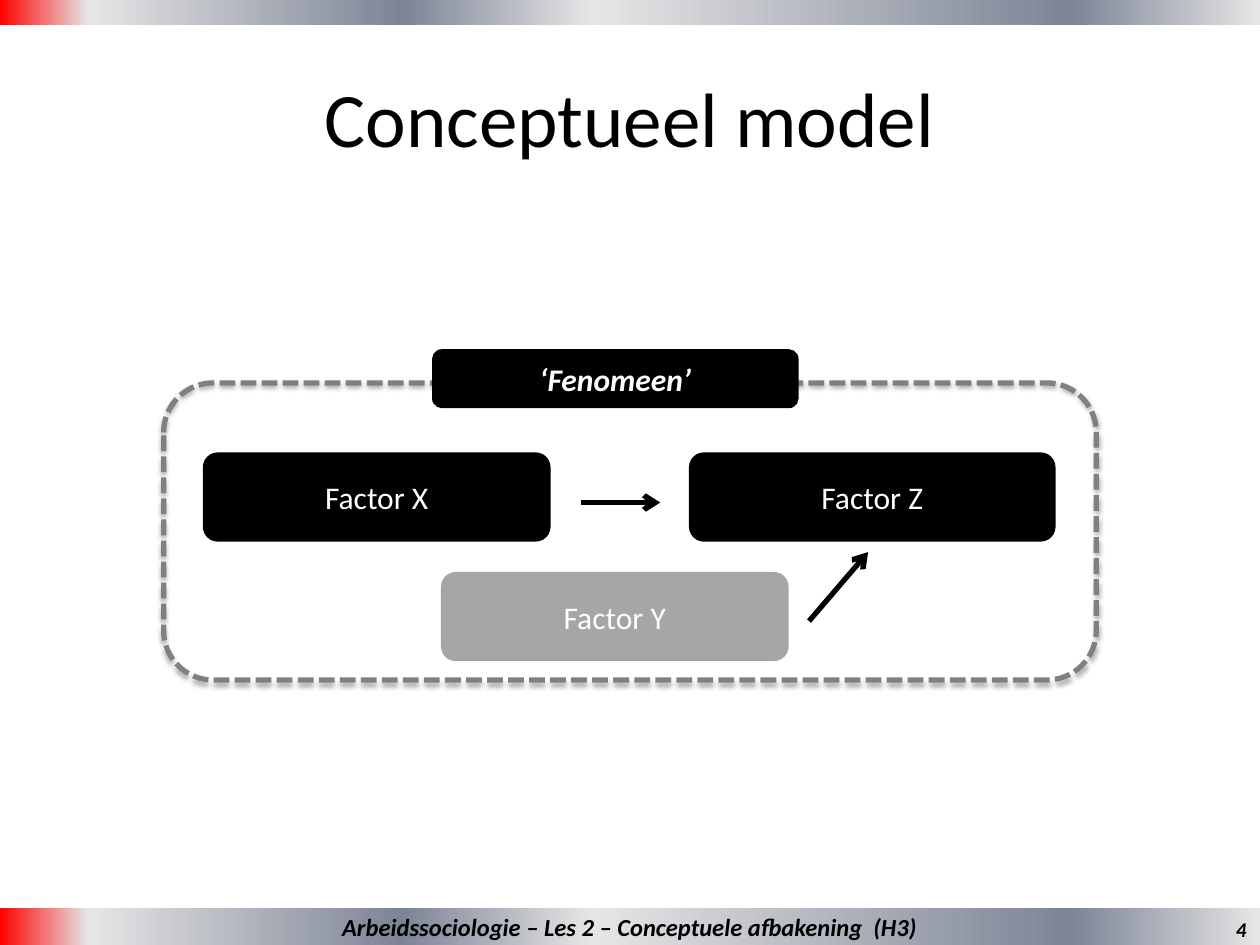
from lxml import etree
from pptx import Presentation
from pptx import util as u
from pptx.dml.color import RGBColor
from pptx.enum import dml, shapes, text
from pptx.oxml import parse_xml
from pptx.oxml.ns import nsdecls, qn

FONT = "Calibri"
COLORS = {
    "black": "000000", "white": "FFFFFF", "light": "A6A6A6", "frame": "808080",
    "red": "FF0000", "silver": "E6E6E6", "slate": "7D8496",
}
WIDTH, HEIGHT = 25.4, 19.05

# All places are left, top, width, height in centimetres
TITLE = ("Conceptueel model", (1.27, 0.76, 22.86, 3.18))
FACTORS = [
    ("Factor X", (4.09, 9.12, 7.01, 1.8), "black"),
    ("Factor Z", (13.89, 9.12, 7.39, 1.8), "black"),
    ("Factor Y", (8.89, 11.53, 7.01, 1.8), "light"),
]
ARROWS = [  # from x, y to x, y
    (11.71, 10.13, 13.31, 10.13),
    (16.31, 12.52, 17.5, 11.13),
]
FRAME = (3.3, 7.72, 18.8, 5.99)
PHENOMENON = ("‘Fenomeen’", (8.71, 7.04, 7.39, 1.19))
FOOTER_TOP = 18.31
BARS = [
    ("", (0, 0, WIDTH, 0.51)),
    ("Arbeidssociologie – Les 2 – Conceptuele afbakening  (H3)",
     (0, FOOTER_TOP, WIDTH, HEIGHT - FOOTER_TOP)),
]
PAGE = ("4", (19.46, FOOTER_TOP, 5.92, 0.86))
BAR_STOPS = [(0, "red"), (7, "silver"), (32, "slate"),
             (47, "silver"), (85, "slate"), (100, "silver")]


def rgb(color):
    return RGBColor.from_string(COLORS[color])


def cm(lengths):
    return [u.Cm(length) for length in lengths]


def write(shape, words, size, color="black", align=text.PP_ALIGN.CENTER, strong=False):
    frame = shape.text_frame
    frame.word_wrap = True
    frame.vertical_anchor = text.MSO_ANCHOR.MIDDLE
    paragraph = frame.paragraphs[0]
    paragraph.text = words
    paragraph.alignment = align
    font = paragraph.font
    font.name, font.size = FONT, u.Pt(size)
    font.color.rgb = rgb(color)
    if strong:
        font.bold = font.italic = True


def add_box(slide, place, kind=shapes.MSO_SHAPE.ROUNDED_RECTANGLE, fill=None):
    """Add a shape without line or shadow, filled only if a colour is given."""
    box = slide.shapes.add_shape(kind, *cm(place))
    box.shadow.inherit = False
    box.line.fill.background()
    if fill:
        box.fill.solid()
        box.fill.fore_color.rgb = rgb(fill)
    else:
        box.fill.background()
    return box


def add_label(slide, words, place, size, **style):
    write(slide.shapes.add_textbox(*cm(place)), words, size, **style)


def add_arrow(slide, ends):
    arrow = slide.shapes.add_connector(shapes.MSO_CONNECTOR.STRAIGHT, *cm(ends))
    arrow.line.color.rgb = rgb("black")
    arrow.line.width = u.Pt(3)
    etree.SubElement(arrow.line._get_or_add_ln(), qn("a:tailEnd"), type="arrow")
    etree.SubElement(arrow._element.spPr, qn("a:effectLst"))


def add_frame(slide):
    frame = add_box(slide, FRAME)
    frame.line.color.rgb = rgb("frame")
    frame.line.width = u.Pt(3)
    frame.line.dash_style = dml.MSO_LINE.SQUARE_DOT
    effects = frame._element.spPr.find(qn("a:effectLst"))
    effects.append(parse_xml(
        f'<a:outerShdw {nsdecls("a")} blurRad="{u.Pt(3.1)}" dist="{u.Pt(1.8)}" '
        f'dir="5400000" rotWithShape="0"><a:srgbClr val="{COLORS["black"]}">'
        '<a:alpha val="35000"/></a:srgbClr></a:outerShdw>'))


def add_bar(slide, words, place):
    bar = add_box(slide, place, shapes.MSO_SHAPE.RECTANGLE)
    bar.fill.gradient()
    bar.fill.gradient_angle = 0
    stops = bar._element.spPr.find(f'{qn("a:gradFill")}/{qn("a:gsLst")}')
    for stop in list(stops):
        stops.remove(stop)
    for percent, color in BAR_STOPS:
        stop = etree.SubElement(stops, qn("a:gs"), pos=str(percent * 1000))
        etree.SubElement(stop, qn("a:srgbClr"), val=COLORS[color])
    if words:
        write(bar, words, 14, strong=True)


def main():
    deck = Presentation()
    deck.slide_width, deck.slide_height = cm((WIDTH, HEIGHT))
    slide = deck.slides.add_slide(deck.slide_layouts[6])

    add_label(slide, *TITLE, 44)
    for words, place, fill in FACTORS:
        write(add_box(slide, place, fill=fill), words, 18, "white")
    for ends in ARROWS:
        add_arrow(slide, ends)
    add_frame(slide)
    words, place = PHENOMENON
    write(add_box(slide, place, fill="black"), words, 18, "white", strong=True)
    for words, place in BARS:
        add_bar(slide, words, place)
    add_label(slide, *PAGE, 12, align=text.PP_ALIGN.RIGHT, strong=True)

    deck.save("out.pptx")


if __name__ == "__main__":
    main()
